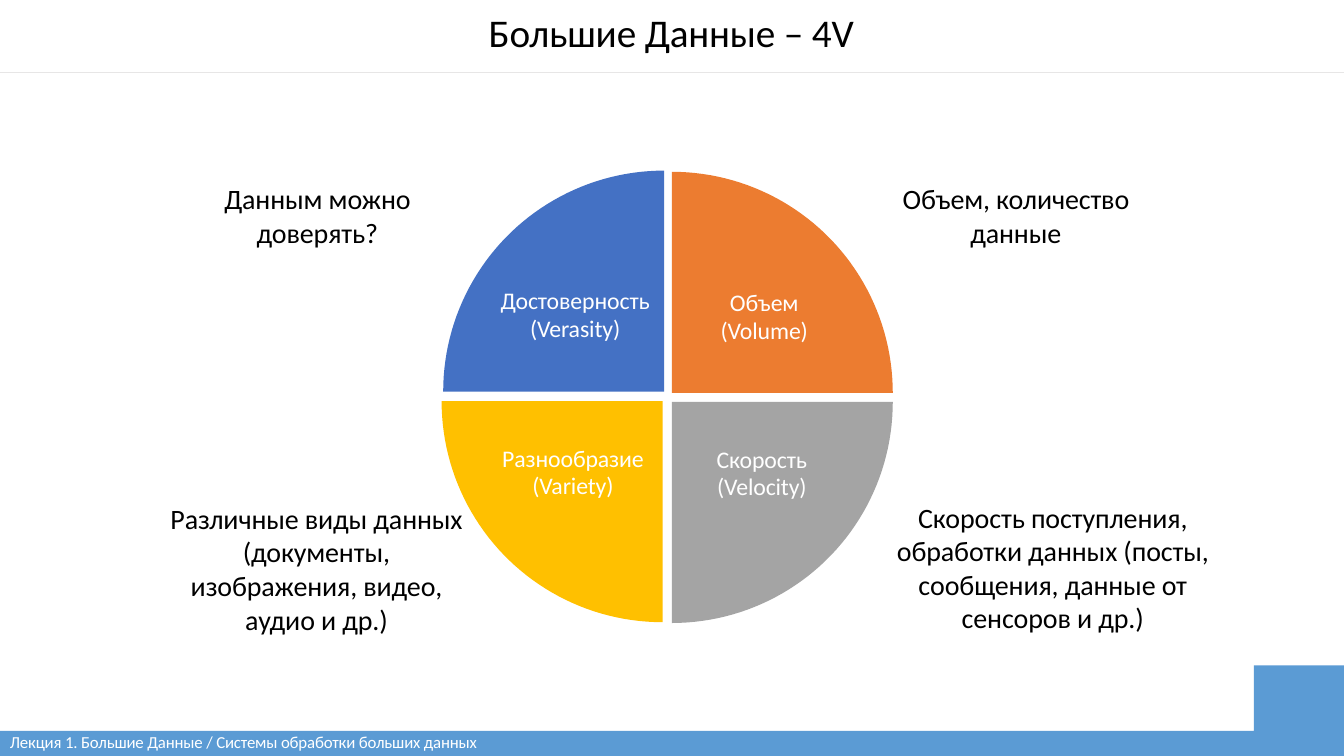
from math import cos, radians, sin

from lxml.etree import SubElement
from pptx import Presentation
from pptx.dml.color import RGBColor
from pptx.enum.shapes import MSO_CONNECTOR as CONNECTOR
from pptx.enum.text import MSO_ANCHOR as ANCHOR, MSO_AUTO_SIZE as AUTO_SIZE, PP_ALIGN as ALIGN
from pptx.oxml.ns import qn
from pptx.util import Cm, Pt

COLORS = {
    "band": "5B9BD4", "rule": "E7E6E6", "black": "000000", "white": "FFFFFF",
    "volume": "EC7C30", "velocity": "A4A4A4", "variety": "FFC000", "verasity": "4471C4",
}
WIDTH, HEIGHT = 33.87, 19.05
RADIUS = 5.57


def add_outline(points, color):
    corners = [(Cm(x), Cm(y)) for x, y in points]
    builder = slide.shapes.build_freeform(*corners[0])
    builder.add_line_segments(corners[1:], close=True)
    outline = builder.convert_to_shape()
    outline.shadow.inherit = False
    outline.fill.solid()
    outline.fill.fore_color.rgb = RGBColor.from_string(COLORS[color])
    outline.line.fill.background()


def write(holder, paragraphs, size, color, align=ALIGN.CENTER, spacing=None, before=1):
    frame = holder.text_frame
    frame_format = {
        "word_wrap": True, "auto_size": AUTO_SIZE.NONE, "vertical_anchor": ANCHOR.TOP,
        "margin_left": 0, "margin_right": 0, "margin_top": Cm(0.03), "margin_bottom": 0,
    }
    for key, value in frame_format.items():
        setattr(frame, key, value)
    for number, words in enumerate(paragraphs):
        paragraph = frame.paragraphs[0] if number == 0 else frame.add_paragraph()
        paragraph.alignment = align
        paragraph.space_before = Pt(before if number == 0 else 0)
        if spacing:
            paragraph.line_spacing = Pt(spacing)
        run = paragraph.add_run()
        run.text = words
        run.font.name = "Calibri"
        run.font.size = Pt(size)
        run.font.color.rgb = RGBColor.from_string(COLORS[color])
        run.font._element.set("spc", "-10")  # slightly tightened letters


deck = Presentation()
deck.slide_width, deck.slide_height = Cm(WIDTH), Cm(HEIGHT)
slide = deck.slides.add_slide(deck.slide_layouts[5])

# Bottom band with its raised corner
add_outline([(WIDTH, 16.77), (31.6, 16.77), (31.6, 18.42), (0, 18.42),
             (0, HEIGHT), (WIDTH, HEIGHT)], "band")

# Title and the rule below it
title = slide.shapes.title
title.left, title.top, title.width, title.height = Cm(12.19), Cm(0.18), Cm(9.45), Cm(1.24)
write(title, ["Большие Данные – 4V"], 28, "black")

rule = slide.shapes.add_connector(CONNECTOR.STRAIGHT, 0, Cm(1.83), Cm(WIDTH), Cm(1.83))
rule.line.color.rgb = RGBColor.from_string(COLORS["rule"])
rule.line.width = Pt(0.5)
SubElement(rule._element.spPr, qn("a:effectLst"))

# Quarters: colour, tip of the quarter, first angle, label box, label
quarters = [
    ("volume", (16.93, 9.9), 270, (17.96, 7.26, 2.6), ["Объем", "(Volume)"]),
    ("velocity", (16.93, 10.13), 0, (18.0, 11.2, 2.4), ["Скорость", "(Velocity)"]),
    ("variety", (16.7, 10.11), 90, (12.6, 11.18, 3.68), ["Разнообразие", "(Variety)"]),
    ("verasity", (16.74, 9.87), 180, (12.55, 7.21, 3.89), ["Достоверность", "(Verasity)"]),
]
for color, (tip_x, tip_y), first_angle, (left, top, width), label in quarters:
    arc = [(tip_x + RADIUS * cos(radians(angle)), tip_y + RADIUS * sin(radians(angle)))
           for angle in range(first_angle, first_angle + 91, 2)]
    add_outline([(tip_x, tip_y)] + arc, color)
    label_box = slide.shapes.add_textbox(Cm(left), Cm(top), Cm(width), Cm(1.45))
    write(label_box, label, 17, "white", spacing=19.5)

# Explanations around the circle
explanations = [
    ((22.53, 12.57, 8.0, 3.45),
     ["Скорость поступления, обработки данных (посты, сообщения, данные от",
      "сенсоров и др.)"]),
    ((22.6, 4.55, 6.0, 1.78), ["Объем, количество данные"]),
    ((4.2, 12.6, 7.55, 3.45),
     ["Различные виды данных", "(документы,", "изображения, видео, аудио и др.)"]),
    ((5.6, 4.55, 4.8, 1.78), ["Данным можно доверять?"]),
]
for place, paragraphs in explanations:
    explanation = slide.shapes.add_textbox(*map(Cm, place))
    write(explanation, paragraphs, 20, "black")

# Lecture line in the band
lecture = slide.shapes.add_textbox(Cm(0.25), Cm(18.49), Cm(14), Cm(0.48))
write(lecture, ["Лекция 1. Большие Данные / Системы обработки больших данных"],
      12, "white", align=ALIGN.LEFT, spacing=12.4, before=0)

deck.save("out.pptx")
